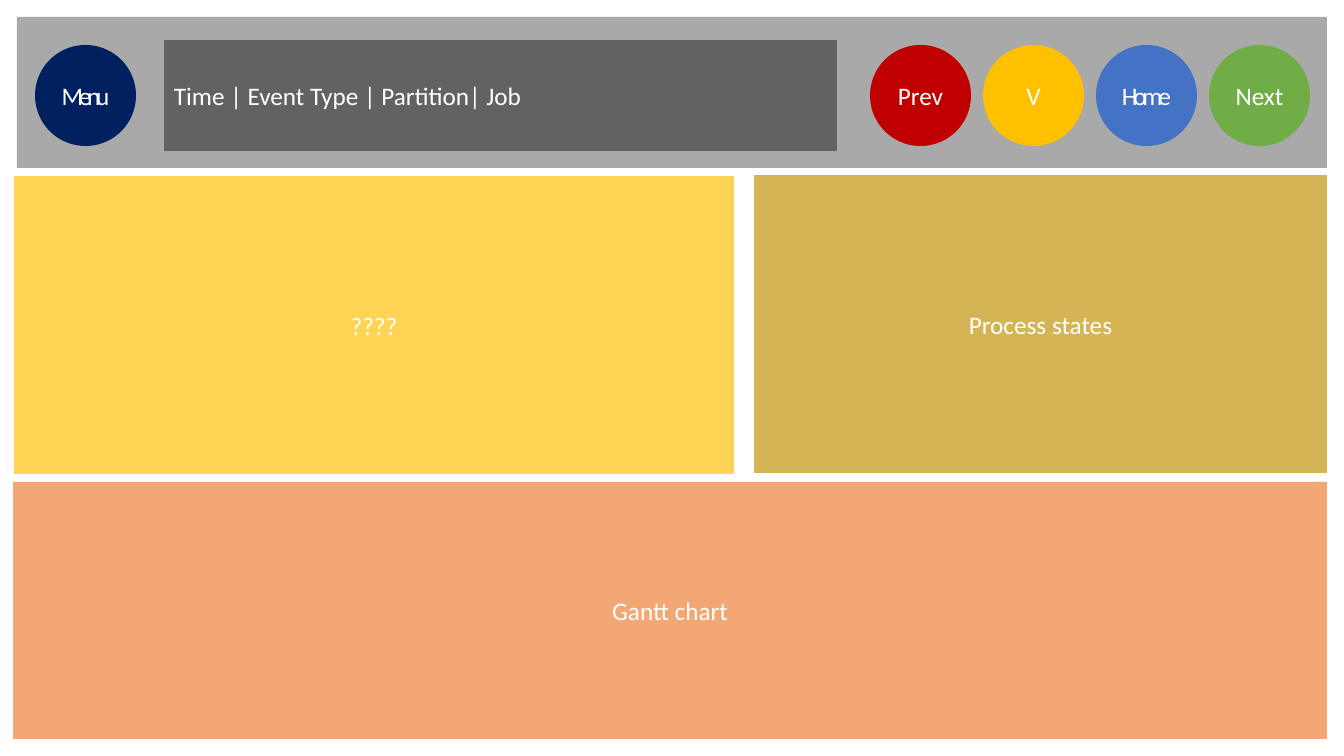
"""Builds a dashboard wireframe with a navigation bar and three content panels."""
from lxml import etree
from pptx import Presentation, util as u
from pptx.dml.color import RGBColor
from pptx.enum import shapes, text
from pptx.oxml.ns import qn

COLOURS = {
    "bar": "808080", "status": "404040", "text": "FFFFFF",
    "menu": "002060", "prev": "C00000", "amber": "FFC000",
    "home": "4472C4", "next": "70AD47", "states": "BF9000", "gantt": "ED7D31",
}
PANELS = [
    ("", "bar", (17, 17, 1310, 151)),
    ("Time | Event Type | Partition| Job", "status", (164, 40, 673, 111)),
    ("????", "amber", (14, 176, 720, 298)),
    ("Process states", "states", (754, 175, 573, 298)),
    ("Gantt chart", "gantt", (13, 482, 1314, 257)),
]
MENU = ("Menu", "menu", -300)
NAVIGATION = [("Prev", "prev", 0), ("V", "amber", 0), ("Home", "home", -300), ("Next", "next", 0)]
PX = u.Inches(1) / 100.8
BUTTON_TOP, BUTTON_SIZE = 45, 101
MENU_LEFT, NAVIGATION_LEFT, NAVIGATION_PITCH = 35, 870, 113
PANEL_ALPHA = 67

deck = Presentation()
deck.slide_width, deck.slide_height = round(1344 * PX), round(756 * PX)
dashboard = deck.slides.add_slide(deck.slide_layouts[6])


def add_part(preset, label, colour, box, alpha=100, spacing=0):
    part = dashboard.shapes.add_shape(preset, *(round(side * PX) for side in box))
    part.shadow.inherit = False
    part.line.fill.background()
    part.fill.solid()
    part.fill.fore_color.rgb = RGBColor.from_string(COLOURS[colour])
    if alpha < 100:
        tint = part.fill._xPr.find(".//" + qn("a:srgbClr"))
        etree.SubElement(tint, qn("a:alpha"), val=str(alpha * 1000))
    if not label:
        return
    frame = part.text_frame
    frame.text = label
    frame.word_wrap = True
    frame.vertical_anchor = text.MSO_ANCHOR.MIDDLE
    paragraph = frame.paragraphs[0]
    paragraph.alignment = text.PP_ALIGN.LEFT if colour == "status" else text.PP_ALIGN.CENTER
    font = paragraph.runs[0].font
    font.name, font.size = "Calibri", u.Pt(18)
    font.color.rgb = RGBColor.from_string(COLOURS["text"])
    if spacing:
        font._element.set("spc", str(spacing))


for label, colour, box in PANELS:
    add_part(shapes.MSO_SHAPE.RECTANGLE, label, colour, box, PANEL_ALPHA)

buttons = [(MENU_LEFT, MENU)]
buttons += [(NAVIGATION_LEFT + i * NAVIGATION_PITCH, button) for i, button in enumerate(NAVIGATION)]
for left, (label, colour, spacing) in buttons:
    add_part(shapes.MSO_SHAPE.OVAL, label, colour,
             (left, BUTTON_TOP, BUTTON_SIZE, BUTTON_SIZE), spacing=spacing)

deck.save("out.pptx")
